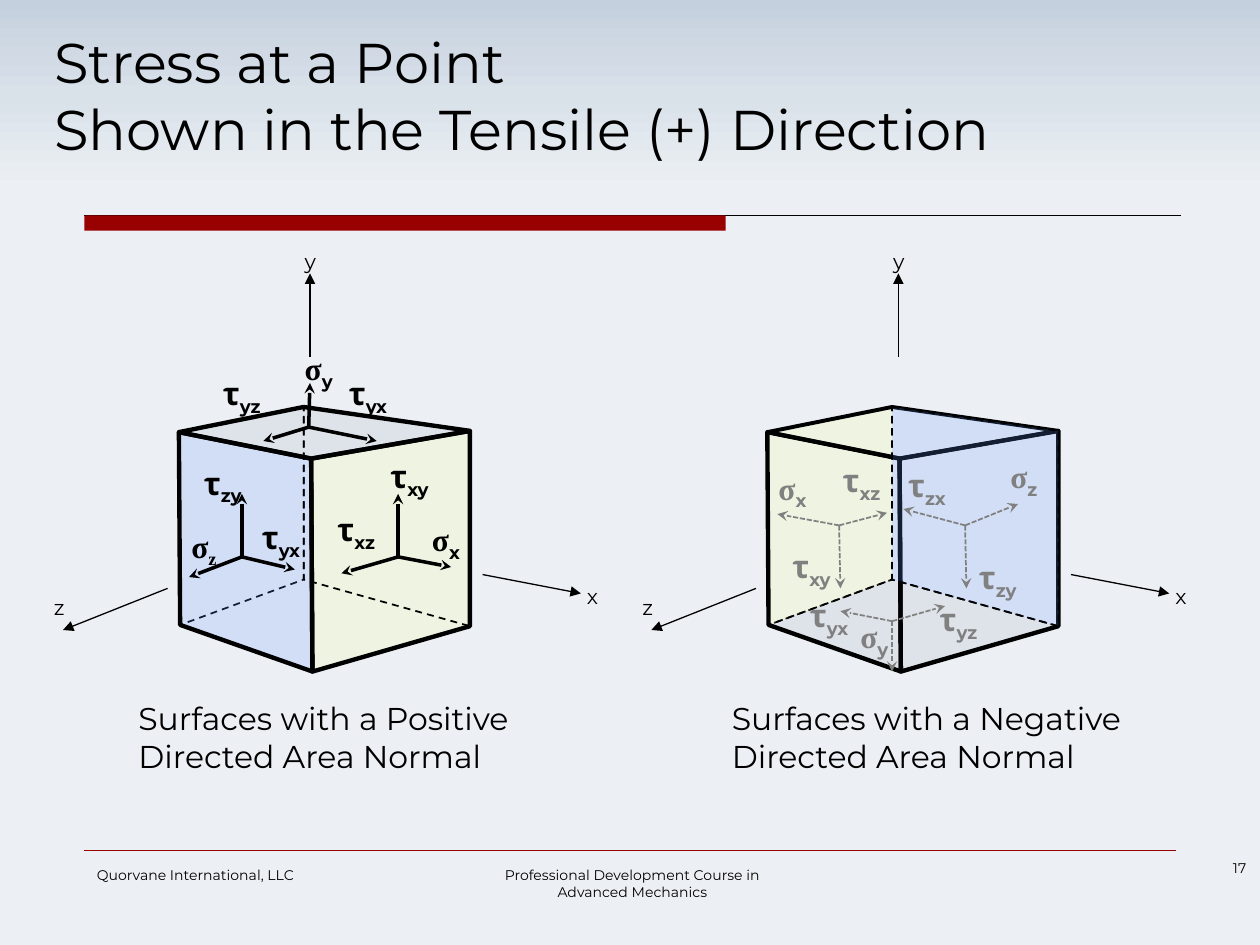
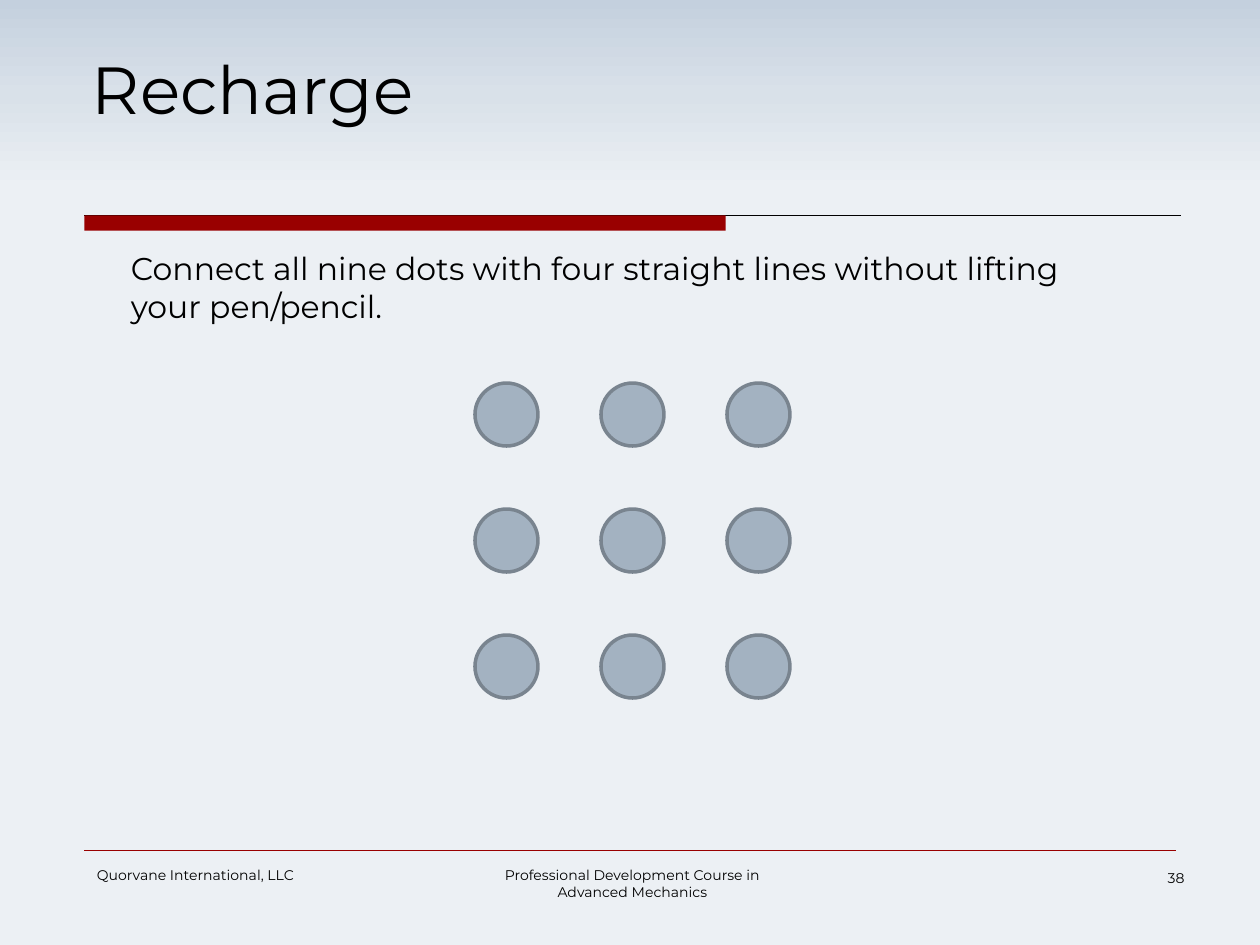
from itertools import product

from lxml import etree
from pptx import Presentation
from pptx import util as u
from pptx.dml.color import RGBColor
from pptx.enum import dml, shapes, text
from pptx.oxml.ns import qn

Inches, Pt = u.Inches, u.Pt

BLACK = RGBColor(0, 0, 0)
GRAY = RGBColor(0x80, 0x80, 0x80)
RED = RGBColor(0x99, 0, 0)
STEEL = RGBColor(0xA3, 0xB2, 0xC1)
STEEL_DARK = RGBColor(0x79, 0x84, 0x8F)
YELLOW = RGBColor(0xFF, 0xFF, 0x99)
BLUE = RGBColor(0x66, 0x99, 0xFF)
SKY_STOPS = [(0, "C4D0DE"), (10, "D9E1E9"), (20, "ECF0F4")]

FONT, GREEK_FONT = "Montserrat", "Times New Roman"
DASH, SHORT_DASH = dml.MSO_LINE.DASH, dml.MSO_LINE.SQUARE_DOT
CENTER, RIGHT = text.PP_ALIGN.CENTER, text.PP_ALIGN.RIGHT

# Cube corners, relative to the diagram box: L left, F front, R right, B back
CORNERS = {
    "L": (1.09, 1.51), "F": (2.14, 1.72), "R": (3.40, 1.50), "B": (2.08, 1.31),
    "l": (1.10, 3.04), "f": (2.15, 3.41), "r": (3.40, 3.05), "b": (2.08, 2.68),
}
# Axis name: arrow start, arrow end, label position
AXES = {
    "y": ((2.13, 0.91), (2.13, 0.25), (1.99, 0)),
    "x": ((3.5, 2.64), (4.28, 2.79), (4.23, 2.66)),
    "z": ((1, 2.75), (0.17, 3.08), (0, 2.75)),
}

# Faces: corners, fill, line width, dash. Triads: origin, arrow ends.
# Symbols: letter, subscript, position.
POSITIVE = dict(
    faces=[("FRrf", YELLOW, 2.5, None), ("BLlb", None, 1, DASH),
           ("LFfl", BLUE, 2.5, None), ("LFRB", STEEL, 2.5, None),
           ("BRrb", None, 1, DASH)],
    triads=[((2.12, 1.47), [(1.76, 1.58), (2.66, 1.58), (2.13, 1.12)]),
            ((1.59, 2.5), [(1.17, 2.66), (2.01, 2.6), (1.59, 2)]),
            ((2.83, 2.5), [(2.38, 2.63), (3.25, 2.58), (2.83, 2)])],
    symbols=[("σ", "x", 3, 2.16), ("σ", "y", 1.99, 0.8),
             ("σ", "z", 1.09, 2.21, GREEK_FONT),
             ("τ", "xy", 2.67, 1.66), ("τ", "yz", 1.34, 1),
             ("τ", "yx", 1.65, 2.14), ("τ", "zy", 1.19, 1.71),
             ("τ", "yx", 2.34, 1), ("τ", "xz", 2.25, 2.08)],
    color=BLACK, width=2, dash=None,
    caption=("Surfaces with a Positive", (0.67, 3.58, 3.54, 0.71)),
)
NEGATIVE = dict(
    faces=[("lfrb", STEEL, 1, DASH), ("BLlb", YELLOW, 1, DASH),
           ("LFfl", None, 2.5, None), ("FRrf", None, 2.5, None),
           ("LFRB", None, 2.25, None), ("BRrb", BLUE, 1, DASH)],
    triads=[((2.08, 3.01), [(2.5, 2.89), (1.67, 2.93), (2.08, 3.41)]),
            ((2.66, 2.25), [(3.08, 2.08), (2.17, 2.12), (2.67, 2.75)]),
            ((1.66, 2.25), [(2.04, 2.15), (1.17, 2.16), (1.67, 2.75)])],
    symbols=[("σ", "y", 1.73, 2.93), ("σ", "x", 1.08, 1.75),
             ("σ", "z", 2.92, 1.66),
             ("τ", "yx", 1.33, 2.76), ("τ", "xz", 1.59, 1.69),
             ("τ", "xy", 1.19, 2.37), ("τ", "yz", 2.36, 2.79),
             ("τ", "zx", 2.11, 1.73), ("τ", "zy", 2.67, 2.46)],
    color=GRAY, width=1, dash=SHORT_DASH,
    caption=("Surfaces with a Negative", (0.71, 3.58, 3.67, 0.71)),
)


def set_font(font, **values):
    defaults = dict(name=FONT, size=Pt(18), bold=False)
    for key, value in (defaults | values).items():
        setattr(font, key, value)


def add_run(p, words, color=BLACK, **values):
    r = p.add_run()
    r.text = words
    set_font(r.font, **values)
    r.font.color.rgb = color
    return r


def add_text(s, box, lines, size=18, align=None, wrap=True):
    tf = s.shapes.add_textbox(*map(Inches, box)).text_frame
    tf.word_wrap = wrap
    tf.auto_size = text.MSO_AUTO_SIZE.SHAPE_TO_FIT_TEXT
    for i, line in enumerate(lines):
        p = tf.paragraphs[0] if i == 0 else tf.add_paragraph()
        p.alignment = align
        if line:
            add_run(p, line, size=Pt(size))
    return tf


def set_line(line, color, width, dash=None):
    line.color.rgb = color
    line.width = Pt(width)
    if dash:
        line.dash_style = dash


def set_fill(sp, color, opacity=None):
    if color is None:
        sp.fill.background()
        return
    sp.fill.solid()
    sp.fill.fore_color.rgb = color
    if opacity:
        clr = sp._element.spPr.find(qn("a:solidFill")).find(qn("a:srgbClr"))
        etree.SubElement(clr, qn("a:alpha"), val=str(opacity * 1000))


def add_line(s, start, end, color, width, dash=None, head=None):
    sp = s.shapes.add_connector(shapes.MSO_CONNECTOR.STRAIGHT,
                                *map(Inches, (*start, *end)))
    set_line(sp.line, color, width, dash)
    sp_pr = sp._element.spPr
    if head:
        etree.SubElement(sp_pr.find(qn("a:ln")), qn("a:tailEnd"), type=head)
    etree.SubElement(sp_pr, qn("a:effectLst"))


def set_background(master):
    """Sky gradient that fades out over the title area."""
    fill = master.background.fill
    fill.gradient()
    fill.gradient_angle = 270
    stops = master._element.find(".//" + qn("p:bgPr")).find(".//" + qn("a:gsLst"))
    for stop in list(stops):
        stops.remove(stop)
    for pos, color in SKY_STOPS:
        gs = etree.SubElement(stops, qn("a:gs"), pos=str(pos * 1000))
        etree.SubElement(gs, qn("a:srgbClr"), val=color)


def add_base_slide(prs, title, title_box, title_size, number, number_box):
    """Title, red bar with rule, footer and page number."""
    s = prs.slides.add_slide(prs.slide_layouts[5])
    sp = s.shapes.title
    sp.left, sp.top, sp.width, sp.height = map(Inches, title_box)
    tf = sp.text_frame
    tf.text = title
    tf.vertical_anchor = text.MSO_ANCHOR.TOP
    tf.word_wrap = True
    p = tf.paragraphs[0]
    p.alignment = text.PP_ALIGN.LEFT
    for r in p.runs:
        set_font(r.font, size=Pt(title_size))
        r.font.color.rgb = BLACK

    # Bar and rule under the title
    add_line(s, (0.67, 1.71), (9.37, 1.71), BLACK, 0.75)
    bar = s.shapes.add_shape(shapes.MSO_SHAPE.RECTANGLE,
                             *map(Inches, (0.67, 1.71, 5.09, 0.12)))
    bar.shadow.inherit = False
    set_fill(bar, RED)
    bar.line.fill.background()

    # Footer
    add_line(s, (0.67, 6.75), (9.33, 6.75), RED, 0.25)
    add_text(s, (0.67, 6.83, 2.08, 0.5), ["Quorvane International, LLC"], 8)
    add_text(s, (3.81, 6.83, 2.42, 0.37),
             ["Professional Development Course in", "Advanced Mechanics"],
             8, CENTER)
    add_text(s, number_box, [number], 8, RIGHT)
    return s


def add_face(s, points, fill, width, dash):
    points = [tuple(map(Inches, pt)) for pt in points]
    builder = s.shapes.build_freeform(*points[0])
    builder.add_line_segments(points[1:], close=True)
    sp = builder.convert_to_shape()
    sp.shadow.inherit = False
    set_fill(sp, fill, 20)
    set_line(sp.line, BLACK, width, dash)


def add_symbol(s, x, y, letter, sub, color, sub_font=FONT):
    sigma = letter == "σ"
    size = (0.44, 0.4) if sigma else (0.53, 0.71)
    p = add_text(s, (x, y, *size), [""], wrap=False).paragraphs[0]
    add_run(p, letter, color, bold=True, name=GREEK_FONT if sigma else FONT)
    r = add_run(p, sub, color, bold=True, name=sub_font)
    r._r.get_or_add_rPr().set("baseline", "-25000")


def add_stress_cube(s, left, top, cube):
    """One cube with its axes, stress arrows, symbols and caption."""
    def at(pt):
        return left + pt[0], top + pt[1]

    for corners, fill, width, dash in cube["faces"]:
        add_face(s, [at(CORNERS[c]) for c in corners], fill, width, dash)
    for origin, ends in cube["triads"]:
        for end in ends:
            add_line(s, at(origin), at(end), cube["color"], cube["width"],
                     cube["dash"], "stealth")
    for name, (start, end, label) in AXES.items():
        add_line(s, at(start), at(end), BLACK, 0.75, head="triangle")
        add_text(s, (*at(label), 0.33, 0.3), [name], 12)
    for letter, sub, x, y, *sub_font in cube["symbols"]:
        add_symbol(s, *at((x, y)), letter, sub, cube["color"], *sub_font)
    words, (x, y, w, h) = cube["caption"]
    add_text(s, (*at((x, y)), w, h), [words, "Directed Area Normal"], wrap=False)


def add_dot_grid(s, left, top, pitch=1, size=0.5, count=3):
    for col, row in product(range(count), repeat=2):
        dot = s.shapes.add_shape(
            shapes.MSO_SHAPE.OVAL, Inches(left + col * pitch),
            Inches(top + row * pitch), Inches(size), Inches(size))
        dot.shadow.inherit = False
        set_fill(dot, STEEL)
        set_line(dot.line, STEEL_DARK, 2)


def main():
    prs = Presentation()
    prs.slide_width, prs.slide_height = Inches(10), Inches(7.5)
    set_background(prs.slide_master)

    # Stress cubes
    s = add_base_slide(prs, "Stress at a Point\vShown in the Tensile (+) Direction",
                       (0.33, 0.17, 9.42, 1.33), 32, "17", (7.66, 6.77, 2.33, 0.4))
    for left, cube in ((0.33, POSITIVE), (5, NEGATIVE)):
        add_stress_cube(s, left, 1.92, cube)

    # Nine dots puzzle
    s = add_base_slide(prs, "Recharge", (0.63, 0.33, 8.75, 1.33), 38,
                       "38", (7.17, 6.85, 2.33, 0.4))
    add_text(s, (0.94, 1.93, 8.08, 0.71),
             ["Connect all nine dots with four straight lines without lifting "
              "your pen/pencil."])
    add_dot_grid(s, 3.77, 3.04)

    prs.save("out.pptx")


if __name__ == "__main__":
    main()
